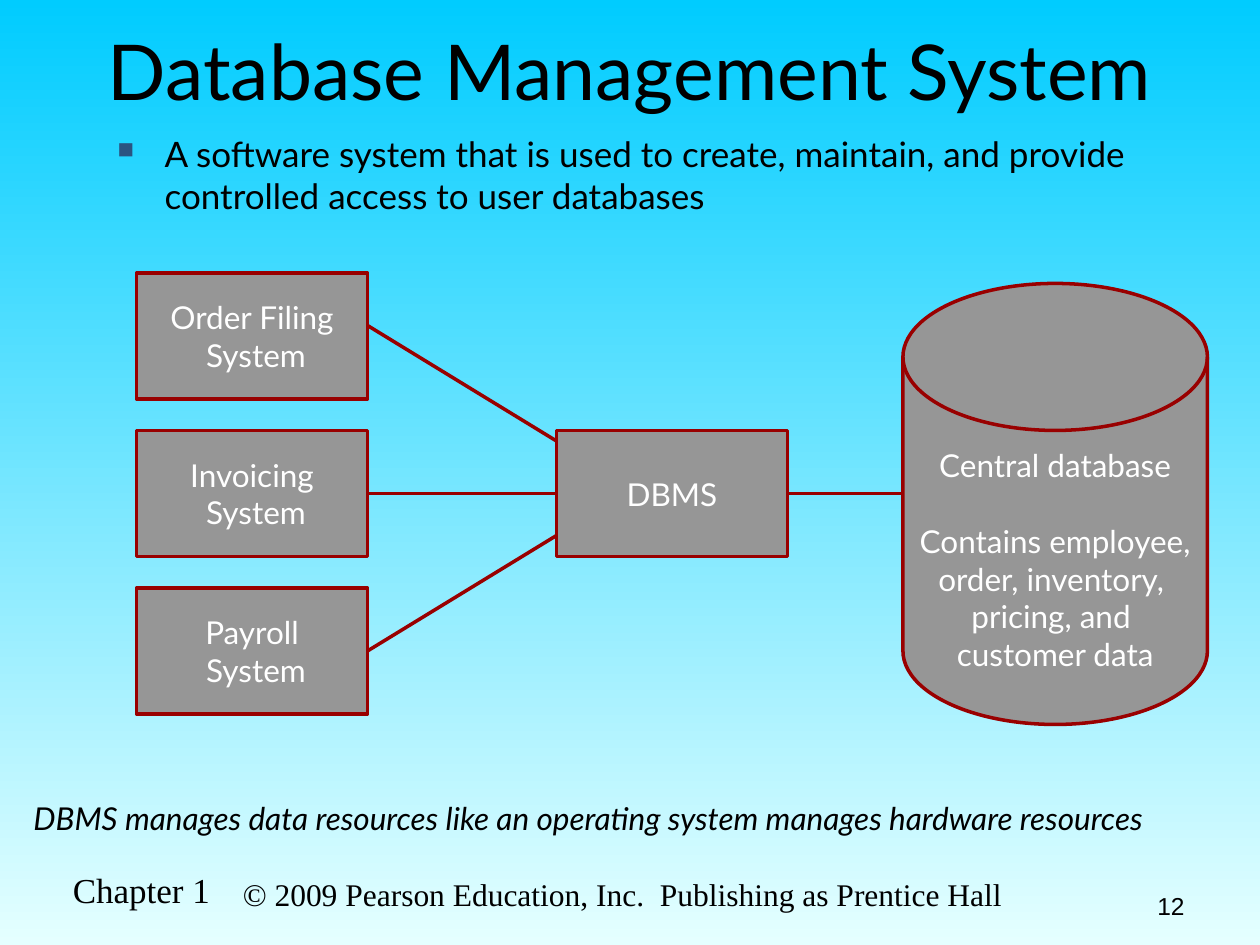
from pptx import Presentation
from pptx.dml.color import RGBColor
from pptx.enum import shapes as es, text as et
from pptx.oxml import xmlchemy as xc
from pptx.oxml.ns import qn
from pptx.util import Pt

HUES = {
    "sky": "00CCFF", "pale": "E5FFFF", "black": "000000", "white": "FFFFFF",
    "gray": "969696", "red": "990000", "navy": "2B5481",
}
LEFT, CENTER, RIGHT = et.PP_ALIGN.LEFT, et.PP_ALIGN.CENTER, et.PP_ALIGN.RIGHT
TOP, MIDDLE, BOTTOM = et.MSO_ANCHOR.TOP, et.MSO_ANCHOR.MIDDLE, et.MSO_ANCHOR.BOTTOM
WIDE, HIGH, STEP = 132, 72, 90
FEED, HUB, ROW = 78, 318, 156
MID = ROW + STEP + HIGH / 2
DISK = (516, 162, 174, 252)


def hue(name):
    return RGBColor.from_string(HUES[name])


def paint_back(slide):
    fill = slide.background.fill
    fill.gradient()
    fill.gradient_angle = 270
    for stop, name in zip(fill.gradient_stops, ("sky", "pale")):
        stop.color.rgb = hue(name)


def set_frame(frame, anchor=TOP, wrap=True, pad=(7.2, 3.6, 7.2, 3.6)):
    frame.auto_size = et.MSO_AUTO_SIZE.NONE
    frame.word_wrap = wrap
    frame.vertical_anchor = anchor
    sides = [Pt(side) for side in pad]
    frame.margin_left, frame.margin_top, frame.margin_right, frame.margin_bottom = sides


def write(par, words, size, face="Lato", color="black", align=LEFT, slant=False):
    par.alignment = align
    run = par.add_run()
    run.text = words
    font = run.font
    font.size, font.name, font.italic, font.bold = Pt(size), face, slant, False
    font.color.rgb = hue(color)


def add_title(slide, words):
    title = slide.shapes.title
    title.left, title.top, title.width, title.height = Pt(56), Pt(12), Pt(608), Pt(109)
    set_frame(title.text_frame, pad=(3.6, 1.44, 3.6, 1.44))
    write(title.text_frame.paragraphs[0], words, 44, align=CENTER)


def add_text(slide, place, words, size, anchor=TOP, wrap=True, **style):
    box = slide.shapes.add_textbox(*map(Pt, place))
    set_frame(box.text_frame, anchor, wrap)
    par = box.text_frame.paragraphs[0]
    write(par, words, size, **style)
    return par


def add_bullet(par):
    props = par._p.get_or_add_pPr()
    props.set("marL", str(Pt(27)))
    props.set("indent", str(-Pt(27)))
    color = xc.OxmlElement("a:buClr")
    tint = xc.OxmlElement("a:srgbClr")
    tint.set("val", HUES["navy"])
    color.append(tint)
    size = xc.OxmlElement("a:buSzPct")
    size.set("val", "65000")
    mark = xc.OxmlElement("a:buChar")
    mark.set("char", "■")
    props.extend([color, size, mark])


def add_node(slide, kind, place, lines, **frame):
    node = slide.shapes.add_shape(kind, *map(Pt, place))
    node.shadow.inherit = False
    node.fill.solid()
    node.fill.fore_color.rgb = hue("gray")
    node.line.color.rgb = hue("red")
    node.line.width = Pt(2)
    body = node.text_frame
    set_frame(body, MIDDLE, False, **frame)
    for index, words in enumerate(lines):
        par = body.add_paragraph() if index else body.paragraphs[0]
        write(par, words, 18, color="white", align=CENTER)
    return node


def add_link(slide, start, end):
    link = slide.shapes.add_connector(es.MSO_CONNECTOR.STRAIGHT, *map(Pt, start + end))
    link.line.color.rgb = hue("red")
    link.line.width = Pt(2)
    link._element.find(qn("p:spPr")).append(xc.OxmlElement("a:effectLst"))


def add_flow(slide):
    box = es.MSO_SHAPE.RECTANGLE
    for index, name in enumerate(("Order Filing", "Invoicing", "Payroll")):
        place = (FEED, ROW + index * STEP, WIDE, HIGH)
        add_node(slide, box, place, (name, " System"))
    add_node(slide, box, (HUB, ROW + STEP, WIDE, HIGH), ("DBMS",))
    for start, end in ((186, 252), (MID, MID), (372, 306)):
        add_link(slide, (FEED + WIDE, start), (HUB, end))
    lines = ("Central database", "Contains employee,", "order, inventory, ",
             "pricing, and ", "customer data")
    disk = add_node(slide, es.MSO_SHAPE.FLOWCHART_MAGNETIC_DISK, DISK, lines,
                    pad=(7.2, 25.2, 7.2, 3.6))
    disk.text_frame.paragraphs[1].space_before = Pt(21.6)
    add_link(slide, (HUB + WIDE, MID), (DISK[0], MID))


def main():
    deck = Presentation()
    deck.slide_width, deck.slide_height = Pt(720), Pt(540)
    slide = deck.slides.add_slide(deck.slide_layouts[5])
    paint_back(slide)
    serif = "Times New Roman"
    add_text(slide, (34.5, 493, 93, 32), "Chapter 1", 20, wrap=False, face=serif)
    add_text(slide, (104.5, 487.5, 502.5, 37.5),
             "© 2009 Pearson Education, Inc. \u00a0Publishing as Prentice Hall",
             18, BOTTOM, face=serif, align=CENTER)
    add_text(slide, (516, 492, 168, 37.5), "12", 14, BOTTOM, face="Arial", align=RIGHT)
    add_title(slide, "Database Management System")
    add_text(slide, (12, 453, 703.5, 50),
             "DBMS manages data resources like an operating system "
             "manages hardware resources", 18, slant=True)
    add_bullet(add_text(slide, (60, 72, 612, 108),
                        "A software system that is used to create, maintain, and provide "
                        "controlled access to user databases", 20))
    add_flow(slide)
    deck.save("out.pptx")


if __name__ == "__main__":
    main()
